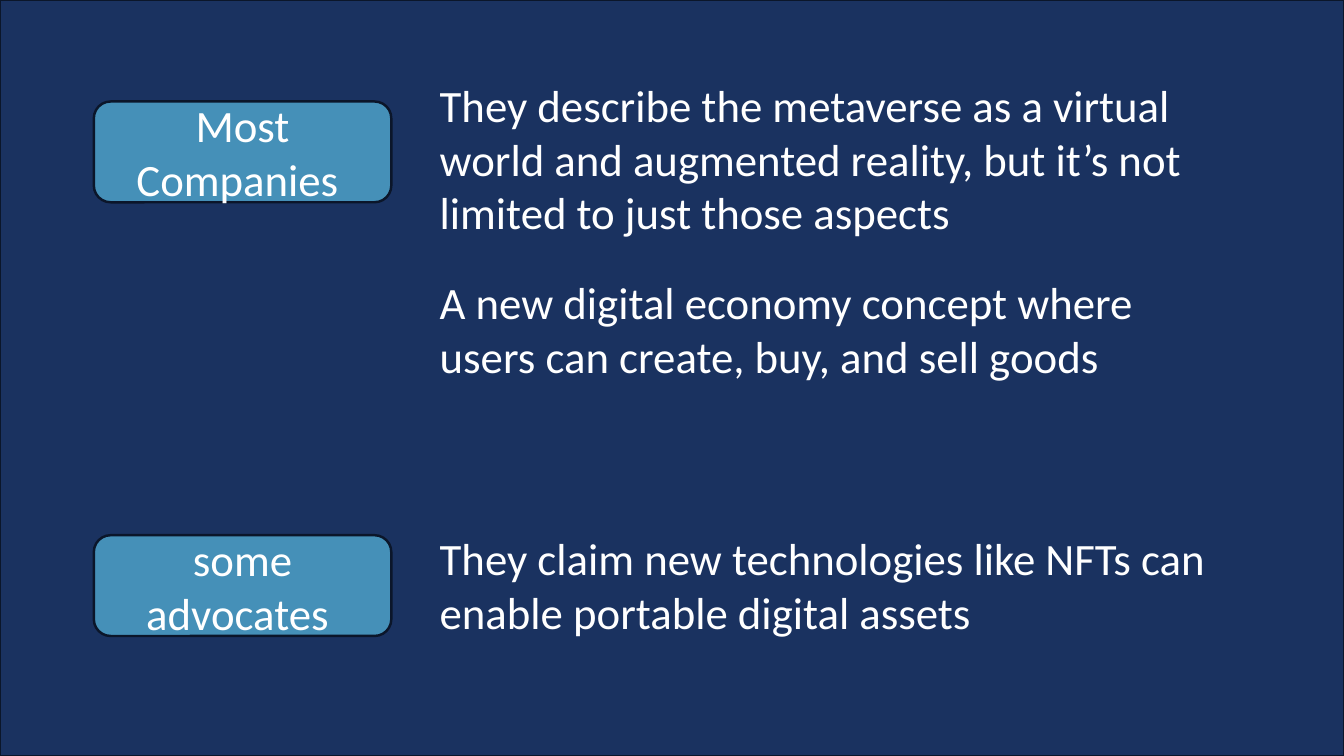
from pptx import Presentation
from pptx.dml.color import RGBColor
from pptx.enum import shapes, text
from pptx.util import Pt

NAVY, BLUE, OUTLINE, WHITE = "1A3260", "4590B8", "0B162A", "FFFFFF"


def color(value):
    return RGBColor.from_string(value)


def add_panel(kind, left, top, width, height, fill):
    panel = slide.shapes.add_shape(kind, Pt(left), Pt(top), Pt(width), Pt(height))
    panel.shadow.inherit = False
    panel.fill.solid()
    panel.fill.fore_color.rgb = color(fill)
    panel.line.color.rgb = color(OUTLINE)
    panel.line.width = Pt(1.75)
    return panel


deck = Presentation()
deck.slide_width, deck.slide_height = Pt(960), Pt(540)
slide = deck.slides.add_slide(deck.slide_layouts[6])

# Backdrop
add_panel(shapes.MSO_SHAPE.RECTANGLE, 0, 0, 960, 540, NAVY)

# Speakers on the left
speakers = []
for speaker, top in (("Most Companies ", 72.5), ("some advocates ", 382.3)):
    badge = add_panel(shapes.MSO_SHAPE.ROUNDED_RECTANGLE, 67, top, 212.5, 72, BLUE)
    badge.text_frame.text = speaker
    badge.text_frame.vertical_anchor = text.MSO_ANCHOR.MIDDLE
    badge.text_frame.paragraphs[0].alignment = text.PP_ALIGN.CENTER
    speakers.append(badge)

# Their views on the right
views = []
for view, top, height in (
    ("They describe the metaverse as a virtual world and augmented reality, "
     "but it’s not limited to just those aspects", 51.8, 123.8),
    ("A new digital economy concept where users can create, buy, and sell goods",
     193, 85),
    ("They claim new technologies like NFTs can enable portable digital assets",
     375.8, 85),
):
    statement = slide.shapes.add_textbox(Pt(307), Pt(top), Pt(584), Pt(height))
    statement.text_frame.word_wrap = True
    statement.text_frame.auto_size = text.MSO_AUTO_SIZE.SHAPE_TO_FIT_TEXT
    statement.text_frame.text = view
    views.append(statement)

# Shared lettering
for item in speakers + views:
    font = item.text_frame.paragraphs[0].font
    font.name, font.size = "Calibri", Pt(32)
    font.color.rgb = color(WHITE)

deck.save("out.pptx")
